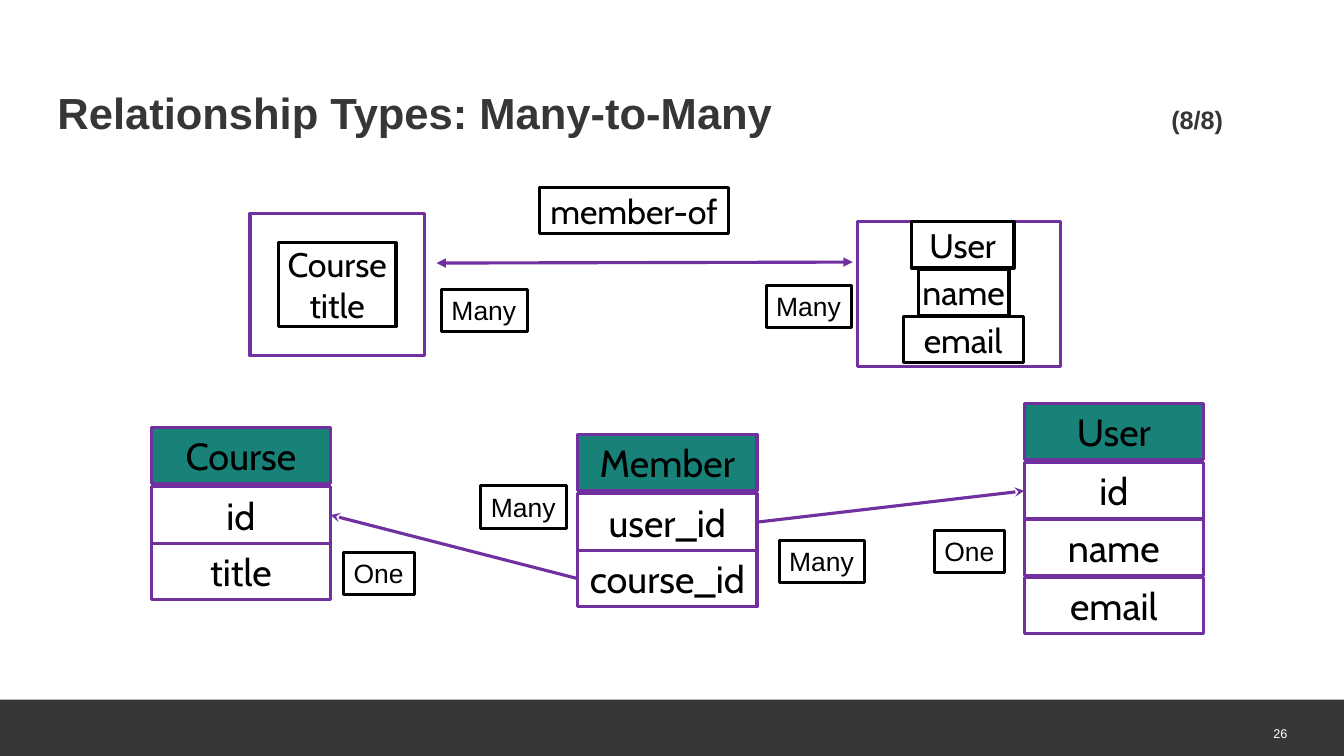
"""Build a slide on many-to-many relationships between courses and users."""
from dataclasses import dataclass

from pptx import Presentation
from pptx import util as u
from pptx.dml import color
from pptx.enum import shapes, text
from pptx.oxml import ns
from lxml import etree


@dataclass(frozen=True)
class Theme:
    purple: str = "7030A0"
    teal: str = "188178"
    dark: str = "363738"
    heading: str = "353637"
    black: str = "000000"
    white: str = "FFFFFF"
    body: str = "Cabin"
    plain: str = "Arial"
    title_size: float = 31.1
    part_size: float = 18
    table_size: float = 27
    entity_size: float = 24.3
    label_size: float = 18.9
    number_size: float = 9
    line: float = 2.25


THEME = Theme()
CELL = 0.1
COLUMNS, ROWS = 133.33, 75

TITLE, PART = "Relationship Types: Many-to-Many", "(8/8)"
TITLE_AREA, PART_TAB = (5.7, 9.2, 115.7, 7.9), 110.5
PAGE_NUMBER, NUMBER_AREA = "26", (122.2, 69.4, 5.5, 5.5)
FOOTER_TOP = 69.4

FRAMES = [(85.1, 22, 20.1, 14.4), (24.8, 21.2, 17.3, 14.1)]
ENTITIES = [
    (["Course", "title"], (27.6, 24.1, 11.7, 8.3)),
    (["member-of"], (53.5, 18.6, 18.8, 4.6)),
    (["User"], (90.4, 22, 10.2, 4.6)),
    (["name"], (91.1, 26.7, 9, 4.6)),
    (["email"], (89.6, 31.4, 11.9, 4.6)),
]
TABLES = {
    "Course": (15, 42.4, ["id", "title"]),
    "Member": (57.3, 43.1, ["user_id", "course_id"]),
    "User": (101.6, 40, ["id", "name", "email"]),
}
TABLE_WIDTH, ROW_HEIGHT = 17.8, 5.6
ROW_OFFSETS = [0, 5.9, 11.5, 17.3]
LABEL_WIDTHS, LABEL_HEIGHT = {"Many": 8.5, "One": 7}, 4.2
LABELS = [
    ("Many", 77.3, 53.6), ("One", 92.7, 52.6), ("Many", 76, 28.3),
    ("Many", 43.8, 28.7), ("One", 34.1, 54.8), ("Many", 47.7, 48.2),
]
MEMBER_OF = ((43.3, 26.1), (84.6, 26))

deck = Presentation()


def grid(cells):
    return u.Inches(cells * CELL)


deck.slide_width, deck.slide_height = grid(COLUMNS), grid(ROWS)
page = deck.slides.add_slide(deck.slide_layouts[6])


def rgb(value):
    return color.RGBColor.from_string(value)


def style(font, name, size, tint, bold=False):
    font.name, font.size, font.bold = name, u.Pt(size), bold
    font.color.rgb = rgb(tint)


def rectangle(area, line=None, fill=None):
    box = page.shapes.add_shape(shapes.MSO_SHAPE.RECTANGLE, *map(grid, area))
    box.shadow.inherit = False
    if fill:
        box.fill.solid()
        box.fill.fore_color.rgb = rgb(fill)
    else:
        box.fill.background()
    if line:
        box.line.color.rgb = rgb(line)
        box.line.width = u.Pt(THEME.line)
    else:
        box.line.fill.background()
    return box


def clear_margins(frame):
    frame.margin_left = frame.margin_right = 0
    frame.margin_top = frame.margin_bottom = 0
    frame.word_wrap = True


def centred(box, lines, size):
    frame = box.text_frame
    clear_margins(frame)
    frame.vertical_anchor = text.MSO_ANCHOR.MIDDLE
    frame.text = "\n".join(lines)
    for para in frame.paragraphs:
        para.alignment = text.PP_ALIGN.CENTER
        style(para.font, THEME.body, size, THEME.black)


def label(words, left, top):
    box = rectangle((left, top, LABEL_WIDTHS[words], LABEL_HEIGHT), THEME.black)
    frame = box.text_frame
    frame.word_wrap = False
    frame.vertical_anchor = text.MSO_ANCHOR.TOP
    frame.text = words
    para = frame.paragraphs[0]
    para.alignment = text.PP_ALIGN.LEFT
    style(para.font, THEME.plain, THEME.label_size, THEME.black)


def arrow(start, end, **heads):
    link = page.shapes.add_connector(
        shapes.MSO_CONNECTOR.STRAIGHT, *map(grid, start + end))
    link.line.color.rgb = rgb(THEME.purple)
    link.line.width = u.Pt(THEME.line)
    outline = link.line._get_or_add_ln()
    for name, kind in heads.items():
        etree.SubElement(outline, ns.qn(f"a:{name}"), type=kind)
    etree.SubElement(link._element.spPr, ns.qn("a:effectLst"))


def table_rows(name):
    left, top, fields = TABLES[name]
    for index, (words, offset) in enumerate(zip([name] + fields, ROW_OFFSETS)):
        area = (left, top + offset, TABLE_WIDTH, ROW_HEIGHT)
        box = rectangle(area, THEME.purple, None if index else THEME.teal)
        centred(box, [words], THEME.table_size)


def row_end(name, field, right=False):
    left, top, fields = TABLES[name]
    offset = ROW_OFFSETS[fields.index(field) + 1]
    return left + TABLE_WIDTH * right, top + offset + ROW_HEIGHT / 2


def text_area(area):
    frame = page.shapes.add_textbox(*map(grid, area)).text_frame
    clear_margins(frame)
    return frame, frame.paragraphs[0]


rectangle((0, FOOTER_TOP, COLUMNS, ROWS - FOOTER_TOP), fill=THEME.dark)
number_frame, number = text_area(NUMBER_AREA)
number_frame.vertical_anchor = text.MSO_ANCHOR.MIDDLE
number.text = PAGE_NUMBER
number.alignment = text.PP_ALIGN.RIGHT
number.line_spacing = u.Pt(19)
style(number.font, THEME.plain, THEME.number_size, THEME.white)

for frame_area in FRAMES:
    rectangle(frame_area, THEME.purple)
for lines, entity_area in ENTITIES:
    centred(rectangle(entity_area, THEME.black), lines, THEME.entity_size)
for table_name in TABLES:
    table_rows(table_name)
for entry in LABELS:
    label(*entry)

arrow(*MEMBER_OF, headEnd="triangle", tailEnd="triangle")
arrow(row_end("Course", "id", right=True), row_end("Member", "course_id"),
      headEnd="stealth")
arrow(row_end("User", "id"), row_end("Member", "user_id", right=True),
      headEnd="stealth")

_, heading = text_area(TITLE_AREA)
heading.line_spacing = u.Pt(32.5)
tabs = etree.SubElement(heading._p.get_or_add_pPr(), ns.qn("a:tabLst"))
etree.SubElement(tabs, ns.qn("a:tab"), pos=str(grid(PART_TAB)), algn="l")
for words, size in ((TITLE + "\t", THEME.title_size), (PART, THEME.part_size)):
    span = heading.add_run()
    span.text = words
    style(span.font, THEME.plain, size, THEME.heading, bold=True)

deck.save("out.pptx")
